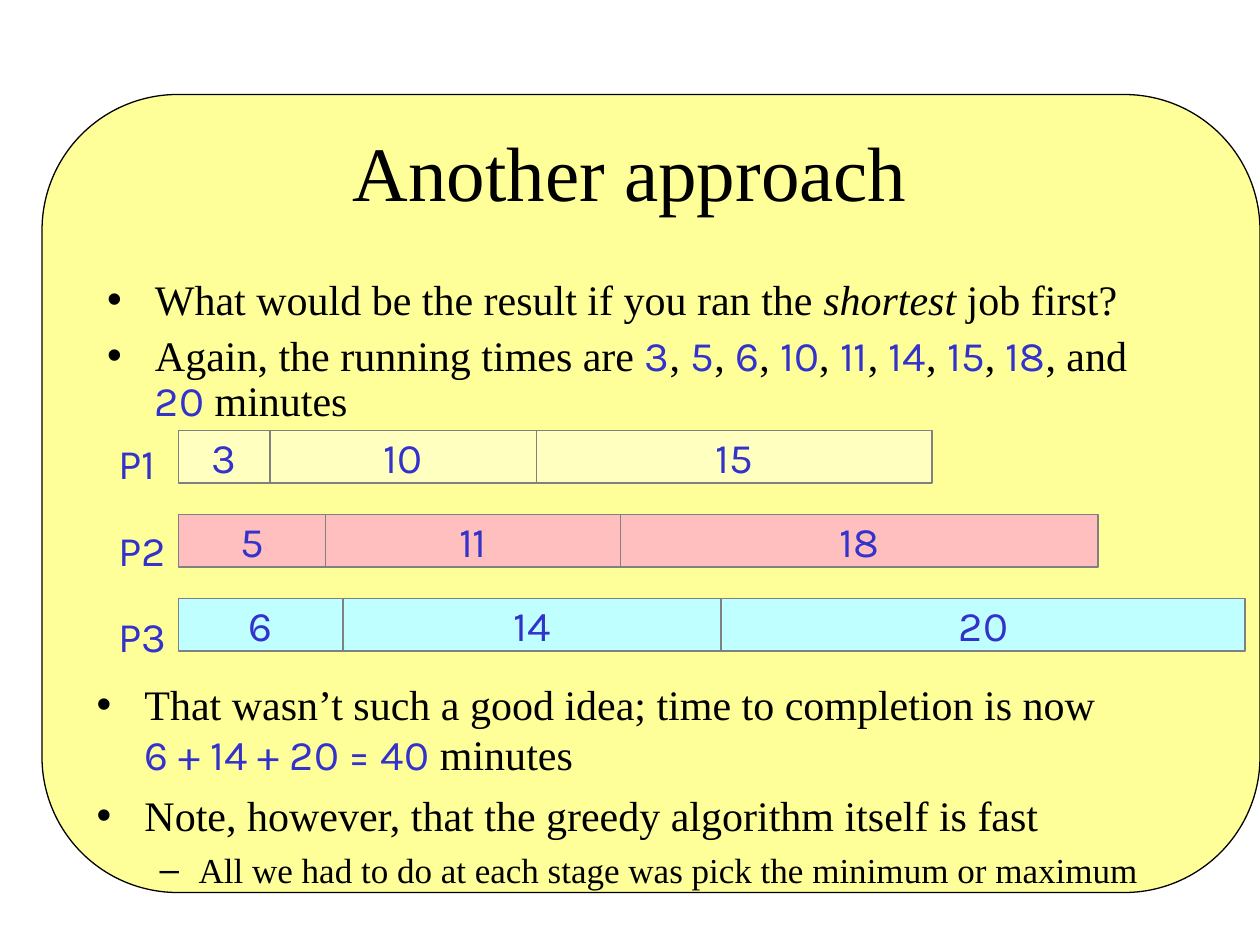
"""Build the slide about scheduling the shortest job first."""
from dataclasses import dataclass
from itertools import accumulate

from pptx import Presentation
from pptx.dml.color import RGBColor
from pptx.enum.shapes import MSO_SHAPE
from pptx.enum.text import MSO_ANCHOR, MSO_AUTO_SIZE, PP_ALIGN
from pptx.util import Inches, Pt

COLUMNS, ROWS = 120, 90
SERIF, SANS = "Times New Roman", "Karla"
BLACK, BLUE, GREY, YELLOW = "000000", "3333CC", "808080", "FFFF99"
BARS_LEFT, BARS_TOP, BAR_PITCH, BAR_HEIGHT = 17, 41, 8, 5


@dataclass
class Area:
    left: float
    top: float
    width: float
    height: float


@dataclass
class Point:
    text: str
    size: int = 24
    level: int = 0
    margin: float = 0.38
    hanging: float = 0.38
    before: int = 6


@dataclass
class Processor:
    name: str
    fill: str
    minutes: tuple[int, ...]
    widths: tuple[float, ...]


PROCESSORS = [
    Processor("P1", "FFFFBF", (3, 10, 15), (8.7, 25.4, 37.7)),
    Processor("P2", "FFBFBF", (5, 11, 18), (14, 28.1, 45.5)),
    Processor("P3", "BFFFFF", (6, 14, 20), (15.7, 36, 49.9)),
]
QUESTION = [
    Point("What would be the result if you ran the |shortest| job first?"),
    Point("Again, the running times are |3|, |5|, |6|, |10|, |11|, |14|, "
          "|15|, |18|, and |20| minutes"),
]
CONCLUSION = [
    Point("That wasn’t such a good idea; time to completion is now\n"
          "|6 + 14 + 20 = 40| minutes"),
    Point("Note, however, that the greedy algorithm itself is fast"),
    Point("All we had to do at each stage was pick the minimum or maximum",
          size=20, level=1, margin=0.81, hanging=0.31, before=5),
]


def colour(value: str) -> RGBColor:
    """Turn a hex string into a colour."""
    return RGBColor.from_string(value)


def box(area: Area) -> tuple[int, int, int, int]:
    """Convert an area in grid cells to left, top, width and height."""
    return (Inches(10 * area.left / COLUMNS), Inches(7.5 * area.top / ROWS),
            Inches(10 * area.width / COLUMNS), Inches(7.5 * area.height / ROWS))


def place(shape, area: Area) -> None:
    """Move and size a placeholder."""
    shape.left, shape.top, shape.width, shape.height = box(area)


def style(font, name: str, size: int, tint: str) -> None:
    """Set typeface, size and colour."""
    font.name, font.size = name, Pt(size)
    font.color.rgb = colour(tint)


def add_panel(shapes, kind: MSO_SHAPE, area: Area, fill: str, line: str, weight: float):
    """Add a filled and outlined shape without a shadow."""
    panel = shapes.add_shape(kind, *box(area))
    panel.shadow.inherit = False
    panel.fill.solid()
    panel.fill.fore_color.rgb = colour(fill)
    panel.line.color.rgb = colour(line)
    panel.line.width = Pt(weight)
    return panel


def write_runs(paragraph, text: str) -> None:
    """Write text whose parts between bars are italic words or blue figures."""
    for index, part in enumerate(text.split("|")):
        run = paragraph.add_run()
        run.text = part.rstrip("\n")
        if part.endswith("\n"):
            paragraph.add_line_break()
        if index % 2 and part.isalpha():
            run.font.italic = True
        elif index % 2:
            run.font.name = SANS
            run.font.color.rgb = colour(BLUE)


def fill_list(body, area: Area, points: list[Point], spacing: float) -> None:
    """Place a body placeholder and write its bulleted points."""
    place(body, area)
    frame = body.text_frame
    frame.auto_size = MSO_AUTO_SIZE.NONE
    for index, point in enumerate(points):
        paragraph = frame.add_paragraph() if index else frame.paragraphs[0]
        paragraph.level = point.level
        paragraph.line_spacing = spacing
        paragraph.space_before = Pt(point.before)
        style(paragraph.font, SERIF, point.size, BLACK)
        properties = paragraph._p.get_or_add_pPr()
        properties.set("marL", str(Inches(point.margin)))
        properties.set("indent", str(-Inches(point.hanging)))
        write_runs(paragraph, point.text)


def add_bars(shapes, row: int, processor: Processor) -> None:
    """Draw the jobs of one processor end to end."""
    lefts = accumulate(processor.widths, initial=BARS_LEFT)
    for left, width, minutes in zip(lefts, processor.widths, processor.minutes):
        area = Area(left, BARS_TOP + row * BAR_PITCH, width, BAR_HEIGHT)
        bar = add_panel(shapes, MSO_SHAPE.RECTANGLE, area, processor.fill, GREY, 1)
        bar.text_frame.vertical_anchor = MSO_ANCHOR.MIDDLE
        bar.text_frame.word_wrap = False
        paragraph = bar.text_frame.paragraphs[0]
        paragraph.text = str(minutes)
        paragraph.alignment = PP_ALIGN.CENTER
        style(paragraph.font, SANS, 24, BLUE)


def add_labels(shapes, area: Area) -> None:
    """Write the processor names beside their bars."""
    frame = shapes.add_textbox(*box(area)).text_frame
    frame.word_wrap = True
    for index, processor in enumerate(PROCESSORS):
        paragraph = frame.add_paragraph() if index else frame.paragraphs[0]
        paragraph.text = processor.name
        paragraph.line_spacing = 1.2
        paragraph.space_before = Pt(15)
        style(paragraph.font, SANS, 24, BLUE)


def main() -> None:
    """Build and save the slide."""
    presentation = Presentation()
    presentation.slide_width, presentation.slide_height = Inches(10), Inches(7.5)
    slide = presentation.slides.add_slide(presentation.slide_layouts[3])
    shapes = slide.shapes
    title, question, conclusion = slide.placeholders

    backdrop = add_panel(shapes, MSO_SHAPE.ROUNDED_RECTANGLE, Area(4, 9, 116, 76),
                         YELLOW, BLACK, 0.75)
    backdrop.adjustments[0] = 0.17
    shapes._spTree.insert(2, backdrop._element)

    place(title, Area(9, 9.4, 102, 13.7))
    title.text_frame.text = "Another approach"
    title.text_frame.vertical_anchor = MSO_ANCHOR.MIDDLE
    style(title.text_frame.paragraphs[0].font, SERIF, 44, BLACK)

    fill_list(question, Area(9, 26, 102, 16.3), QUESTION, 0.9)
    fill_list(conclusion, Area(8, 64, 103, 24), CONCLUSION, 1.0)
    for row, processor in enumerate(PROCESSORS):
        add_bars(shapes, row, processor)
    add_labels(shapes, Area(10.1, 40.1, 7.9, 23.4))
    presentation.save("out.pptx")


if __name__ == "__main__":
    main()
